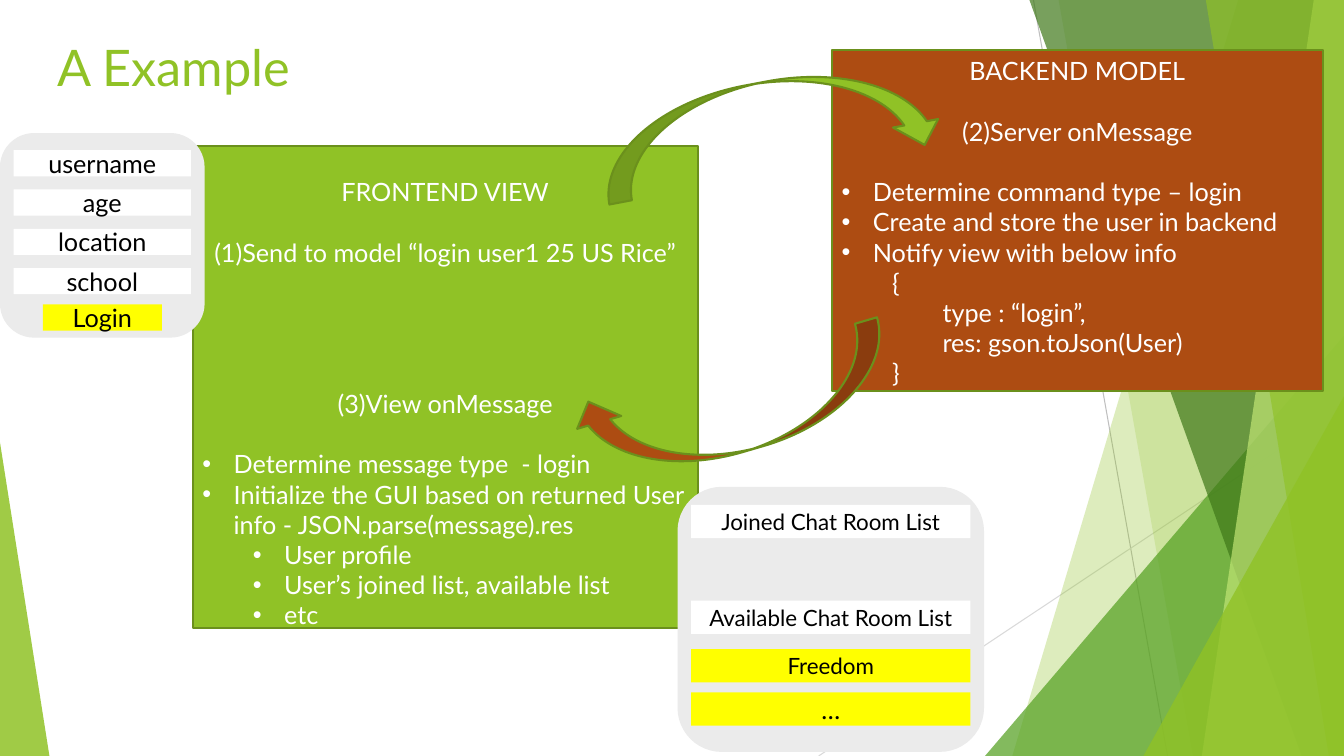
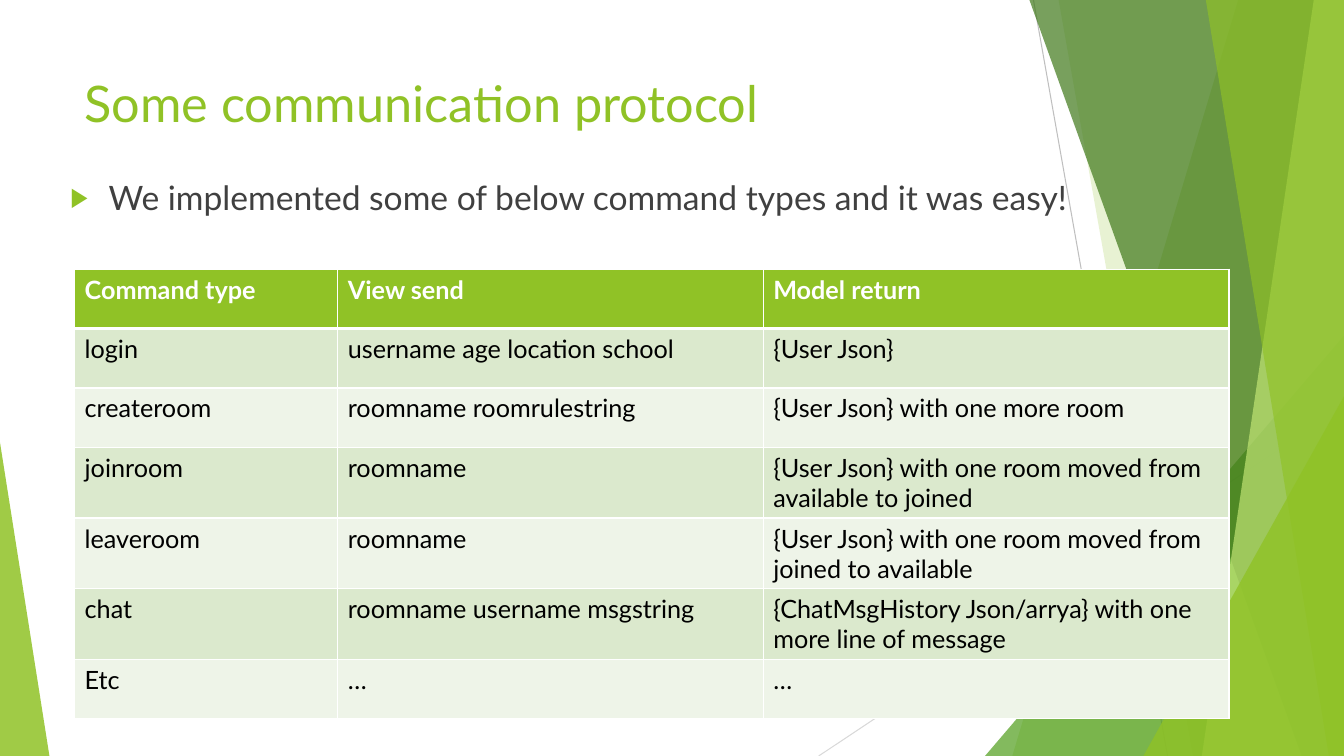
import pptx
import pptx.dml.color
import pptx.enum.shapes
import pptx.enum.text
import pptx.oxml.ns
import pptx.util
from lxml import etree

Inches = pptx.util.Inches
Pt = pptx.util.Pt
RGBColor = pptx.dml.color.RGBColor
SHAPE = pptx.enum.shapes.MSO_SHAPE
ALIGN = pptx.enum.text.PP_ALIGN
ANCHOR = pptx.enum.text.MSO_ANCHOR
qn = pptx.oxml.ns.qn

# Shared style
SLIDE_WIDTH, SLIDE_HEIGHT = 13.33, 7.5
FONT = "Lato"
GREEN = RGBColor(0x90, 0xC2, 0x26)
MID_GREEN = RGBColor(0x54, 0xA0, 0x21)
DARK_GREEN = RGBColor(0x3F, 0x78, 0x19)
PALE_GREEN = RGBColor(0xC0, 0xE4, 0x74)
OUTLINE_GREEN = RGBColor(0x6B, 0x90, 0x1C)
RUST = RGBColor(0xAD, 0x4C, 0x12)
YELLOW = RGBColor(0xFF, 0xFF, 0x00)
WHITE = RGBColor(0xFF, 0xFF, 0xFF)
BLACK = RGBColor(0x00, 0x00, 0x00)
TEXT_GREY = RGBColor(0x40, 0x40, 0x40)
CARD_GREY = RGBColor(0xEB, 0xEB, 0xEB)
LINE_GREY = RGBColor(0xBF, 0xBF, 0xBF)
LIGHT_LINE_GREY = RGBColor(0xD9, 0xD9, 0xD9)
ROW_TINTS = (RGBColor(0xDB, 0xE9, 0xCD), RGBColor(0xEE, 0xF4, 0xE8))

# Backdrop: hairlines as (x1, y1, x2, y2, colour)
HAIRLINES = [
    (10.25, 0, 11.58, SLIDE_HEIGHT, LINE_GREY),
    (SLIDE_WIDTH, 4.03, 8.12, SLIDE_HEIGHT, LIGHT_LINE_GREY),
]
# Bands run to the right edge: ("band", left at top, left at bottom, colour, opacity)
# Wedges stand on the bottom edge: ("wedge", left, top, width, apex, colour, opacity)
BACKDROP = [
    ("band", 12.28, 10.04, GREEN, 30),
    ("band", 10.5, 11.83, GREEN, 20),
    ("wedge", 9.77, 3.33, 3.56, 1, MID_GREEN, 72),
    ("band", 10.21, 12.91, DARK_GREEN, 70),
    ("band", 13.03, 11.92, PALE_GREEN, 70),
    ("band", 11.96, 13.18, GREEN, 65),
    ("wedge", 11.34, 3.93, 1.99, 1, GREEN, 80),
    ("wedge", 0, 4.39, 0.49, 0, GREEN, 85),
]

# Paragraph formats; gaps are whole lines of 18 pt text
LINE_GAP = 21.6
CENTRED = {"align": ALIGN.CENTER}
BULLET = {"bullet": "•", "indent": 0.31, "hanging": 0.31}
SUB_BULLET = {"bullet": "•", "indent": 0.81, "hanging": 0.31, "level": 1}
BRACE = {"indent": 0.5, "level": 1}
FIELD = {"indent": 1, "level": 2}

# Slide 1 content
PANELS = [
    {"box": (1.91, 1.45, 5.01, 4.78), "fill": GREEN, "top_margin": 0.3, "lines": [
        ("FRONTEND VIEW", CENTRED, 0),
        ("(1)Send to model “login user1 25 US Rice”", CENTRED, 1),
        ("(3)View onMessage", CENTRED, 4),
        ("Determine message type  - login", BULLET, 1),
        ("Initialize the GUI based on returned User info - JSON.parse(message).res", BULLET, 0),
        ("User profile", SUB_BULLET, 0),
        ("User’s joined list, available list", SUB_BULLET, 0),
        ("etc", SUB_BULLET, 0),
    ]},
    {"box": (8.25, 0.5, 4.87, 3.38), "fill": RUST, "top_margin": 0.05, "lines": [
        ("BACKEND MODEL", CENTRED, 0),
        ("(2)Server onMessage", CENTRED, 1),
        ("Determine command type – login", BULLET, 1),
        ("Create and store the user in backend", BULLET, 0),
        ("Notify view with below info", BULLET, 0),
        ("{", BRACE, 0),
        ("type : “login”,", FIELD, 0),
        ("res: gson.toJson(User)", FIELD, 0),
        ("}", BRACE, 0),
    ]},
]
# Card items: (text, top, width, fill, text size), centred on the card
LOGIN_CARD = {"box": (0, 1.32, 2.03, 2.03), "item_height": 0.26, "items": [
    (label, 1.49 + 0.39 * index, 1.76, WHITE, 18)
    for index, label in enumerate(["username", "age", "location", "school"])
] + [("Login", 3.02, 1.18, YELLOW, 18)]}
ROOM_CARD = {"box": (6.72, 4.83, 3.04, 2.63), "item_height": 0.33, "items": [
    ("Joined Chat Room List", 5.01, 2.77, WHITE, 16),
    ("Available Chat Room List", 5.96, 2.77, WHITE, 16),
    ("Freedom", 6.44, 2.77, YELLOW, 16),
    ("…", 6.87, 2.77, YELLOW, 18),
]}
# Arrows between the panels: (box, rotation, fill)
FLOW_ARROWS = [
    ((5.93, 0.81, 3.41, 0.91), 349.3, GREEN),
    ((5.68, 3.58, 3.21, 0.91), 163.7, RUST),
]

# Slide 2 content
INTRO = "We implemented some of below command types and it was easy!"
COLUMN_WIDTHS = (2.61, 4.22, 4.62)
ROW_HEIGHT = 0.59
COMMANDS = [
    ("Command type", "View send", "Model return"),
    ("login", "username age location school", "{User Json}"),
    ("createroom", "roomname roomrulestring", "{User Json} with one more room"),
    ("joinroom", "roomname", "{User Json} with one room moved from available to joined"),
    ("leaveroom", "roomname", "{User Json} with one room moved from joined to available"),
    ("chat", "roomname username msgstring",
     "{ChatMsgHistory Json/arrya} with one more line of message"),
    ("Etc", "…", "…"),
]


def inches(box):
    return [Inches(value) for value in box]


def write_text(frame, text, size=18, color=BLACK, bold=False, align=ALIGN.LEFT, level=0,
               indent=0, hanging=0, gap=0, bullet=None, bullet_color=None, bullet_scale=None):
    """Write one paragraph, in the frame's first paragraph if that is still empty."""
    paragraph = frame.paragraphs[0]
    if paragraph.runs:
        paragraph = frame.add_paragraph()
    paragraph.alignment = align
    paragraph.level = level
    paragraph.space_before = Pt(gap)
    run = paragraph.add_run()
    run.text = text
    run.font.name = FONT
    run.font.size = Pt(size)
    run.font.bold = bold
    run.font.color.rgb = color
    properties = paragraph._p.get_or_add_pPr()
    properties.set("marL", str(Inches(indent)))
    properties.set("indent", str(-Inches(hanging)))
    if bullet_color is not None:
        holder = etree.SubElement(properties, qn("a:buClr"))
        etree.SubElement(holder, qn("a:srgbClr"), val=str(bullet_color))
    if bullet_scale:
        etree.SubElement(properties, qn("a:buSzPct"), val=str(bullet_scale * 1000))
    if bullet:
        etree.SubElement(properties, qn("a:buFont"), typeface="Arial")
        etree.SubElement(properties, qn("a:buChar"), char=bullet)


def style_shape(shape, fill, outlined=False, opacity=None):
    shape.shadow.inherit = False
    shape.fill.solid()
    shape.fill.fore_color.rgb = fill
    if opacity is not None:
        color = next(shape.element.iter(qn("a:srgbClr")))
        etree.SubElement(color, qn("a:alpha"), val=str(opacity * 1000))
    if outlined:
        shape.line.color.rgb = OUTLINE_GREEN
        shape.line.width = Pt(1.5)
    else:
        shape.line.fill.background()


def add_shape(shapes, kind, box, fill, **style):
    shape = shapes.add_shape(kind, *inches(box))
    style_shape(shape, fill, **style)
    return shape


def add_text_box(slide, box, text, **text_format):
    frame = slide.shapes.add_textbox(*inches(box)).text_frame
    frame.word_wrap = True
    write_text(frame, text, **text_format)


def add_title(slide, left, top, text):
    add_text_box(slide, (left, top, 9.4, 0.8), text, size=36, color=GREEN)


def build_backdrop(slide, layout):
    """Draw the backdrop, then hand it to the layout so that every slide shows it."""
    shapes = slide.shapes
    for *ends, color in HAIRLINES:
        line = shapes.add_connector(pptx.enum.shapes.MSO_CONNECTOR.STRAIGHT, *inches(ends))
        line.line.color.rgb = color
        line.line.width = Pt(0.75)
        etree.SubElement(line.element.spPr, qn("a:effectLst"))
    for kind, *geometry, color, opacity in BACKDROP:
        if kind == "band":
            top_left, bottom_left = geometry
            outline = shapes.build_freeform(Inches(top_left), 0)
            corners = [(SLIDE_WIDTH, 0), (SLIDE_WIDTH, SLIDE_HEIGHT), (bottom_left, SLIDE_HEIGHT)]
            outline.add_line_segments([inches(corner) for corner in corners], close=True)
            style_shape(outline.convert_to_shape(), color, opacity=opacity)
        else:
            left, top, width, apex = geometry
            box = (left, top, width, SLIDE_HEIGHT - top)
            wedge = add_shape(shapes, SHAPE.ISOSCELES_TRIANGLE, box, color, opacity=opacity)
            wedge.adjustments[0] = apex
    for shape in list(shapes):
        layout.shapes.element.append(shape.element)


def add_panel(slide, panel):
    shape = add_shape(slide.shapes, SHAPE.RECTANGLE, panel["box"], panel["fill"], outlined=True)
    frame = shape.text_frame
    frame.word_wrap = True
    frame.vertical_anchor = ANCHOR.TOP
    frame.margin_top = Inches(panel["top_margin"])
    for text, text_format, blank_lines in panel["lines"]:
        write_text(frame, text, color=WHITE, gap=blank_lines * LINE_GAP, **text_format)


def add_card(slide, card):
    shapes = slide.shapes.add_group_shape().shapes
    add_shape(shapes, SHAPE.ROUNDED_RECTANGLE, card["box"], CARD_GREY)
    card_left, _, card_width, _ = card["box"]
    for text, top, width, fill, size in card["items"]:
        left = card_left + (card_width - width) / 2
        item = add_shape(shapes, SHAPE.RECTANGLE, (left, top, width, card["item_height"]), fill)
        frame = item.text_frame
        frame.word_wrap = True
        frame.vertical_anchor = ANCHOR.MIDDLE
        frame.margin_top = frame.margin_bottom = 0
        write_text(frame, text, size=size, align=ALIGN.CENTER)


def set_borders(cell, bottom_width):
    properties = cell._tc.get_or_add_tcPr()
    for side, width in (("lnL", 1), ("lnR", 1), ("lnT", 1), ("lnB", bottom_width)):
        border = etree.SubElement(properties, qn("a:" + side), w=str(Pt(width)))
        fill = etree.SubElement(border, qn("a:solidFill"))
        etree.SubElement(fill, qn("a:srgbClr"), val=str(WHITE))


def add_command_table(slide, left, top):
    box = (left, top, sum(COLUMN_WIDTHS), ROW_HEIGHT * len(COMMANDS))
    table = slide.shapes.add_table(len(COMMANDS), len(COLUMN_WIDTHS), *inches(box)).table
    for column, width in zip(table.columns, COLUMN_WIDTHS):
        column.width = Inches(width)
    for row_index, row in enumerate(COMMANDS):
        header = row_index == 0
        for column_index, text in enumerate(row):
            cell = table.cell(row_index, column_index)
            set_borders(cell, 3 if header else 1)
            cell.fill.solid()
            cell.fill.fore_color.rgb = GREEN if header else ROW_TINTS[(row_index - 1) % 2]
            write_text(cell.text_frame, text, bold=header, color=WHITE if header else BLACK)


def main():
    presentation = pptx.Presentation()
    presentation.slide_width = Inches(SLIDE_WIDTH)
    presentation.slide_height = Inches(SLIDE_HEIGHT)
    blank = presentation.slide_layouts[6]

    # Slide 1: message flow between view and model
    slide = presentation.slides.add_slide(blank)
    build_backdrop(slide, blank)
    add_title(slide, 0.47, 0.31, "A Example")
    for panel in PANELS:
        add_panel(slide, panel)
    add_card(slide, LOGIN_CARD)
    for box, rotation, fill in FLOW_ARROWS:
        arrow = add_shape(slide.shapes, SHAPE.CURVED_DOWN_ARROW, box, fill, outlined=True)
        arrow.rotation = rotation
    add_card(slide, ROOM_CARD)

    # Slide 2: command table
    slide = presentation.slides.add_slide(blank)
    add_title(slide, 0.74, 0.67, "Some communication protocol")
    add_command_table(slide, 0.74, 2.67)
    add_text_box(slide, (0.6, 1.71, 11.5, 0.6), INTRO, size=24, color=TEXT_GREY, indent=0.38,
                 hanging=0.38, bullet="▶", bullet_color=GREEN, bullet_scale=80)

    presentation.save("out.pptx")


if __name__ == "__main__":
    main()
